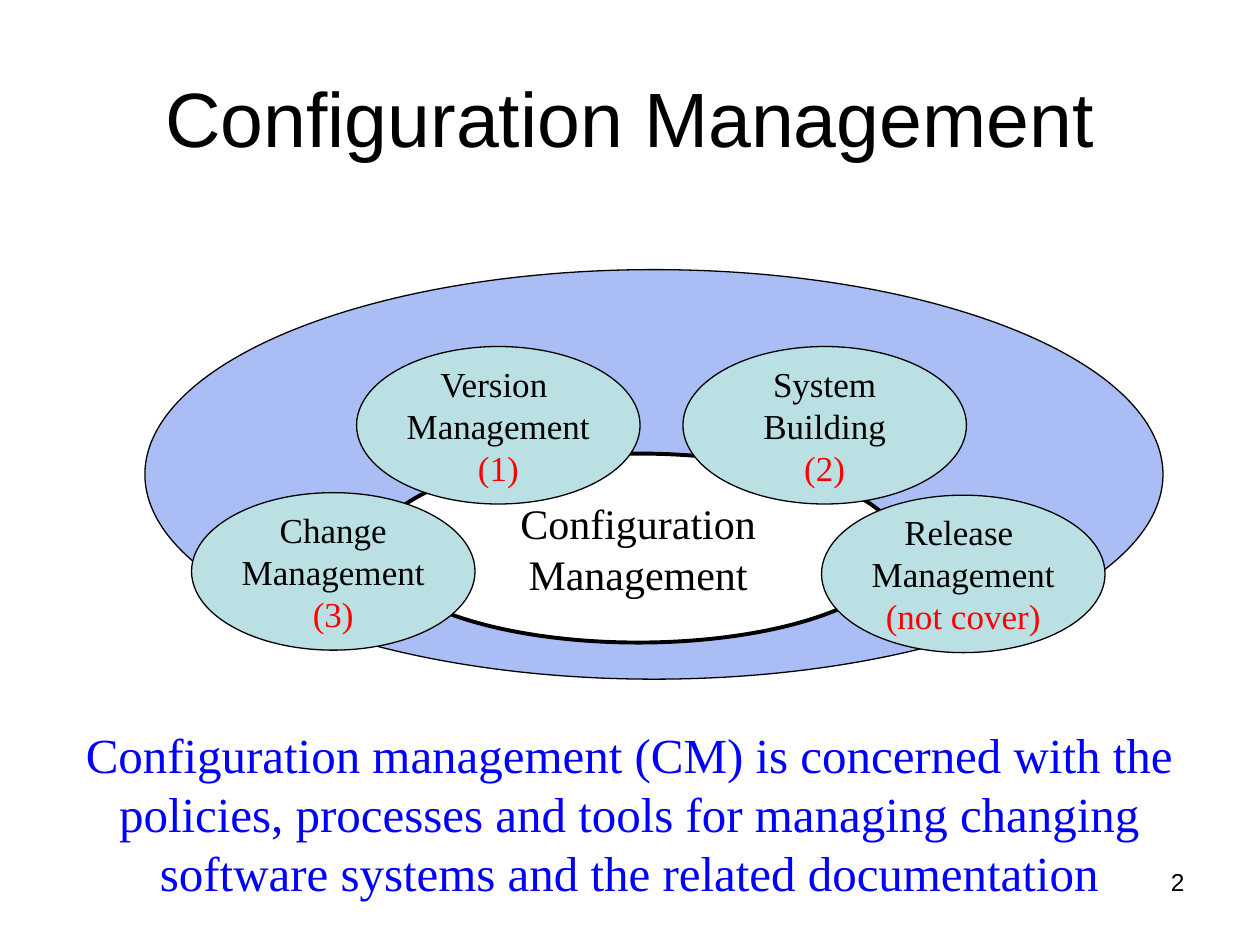
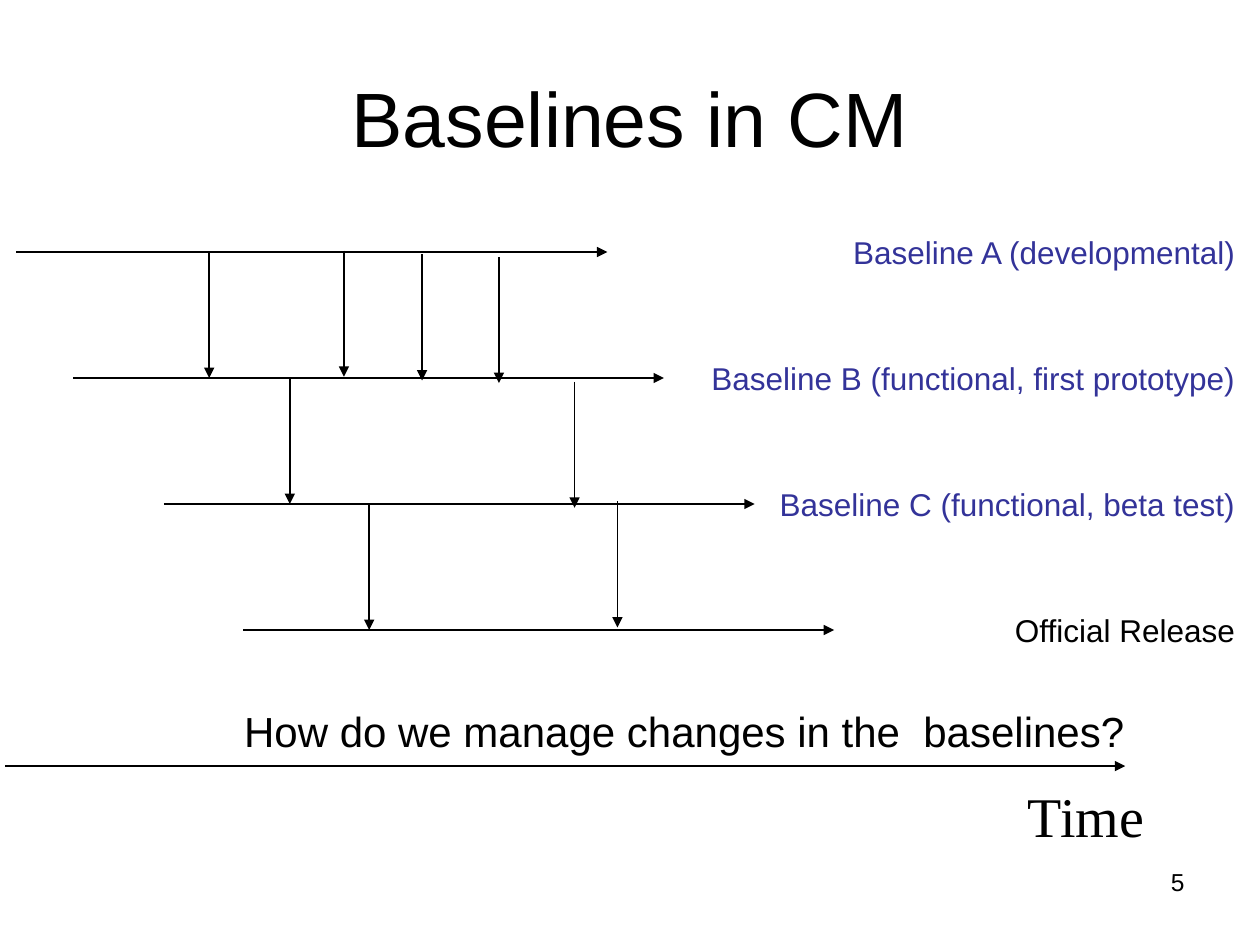
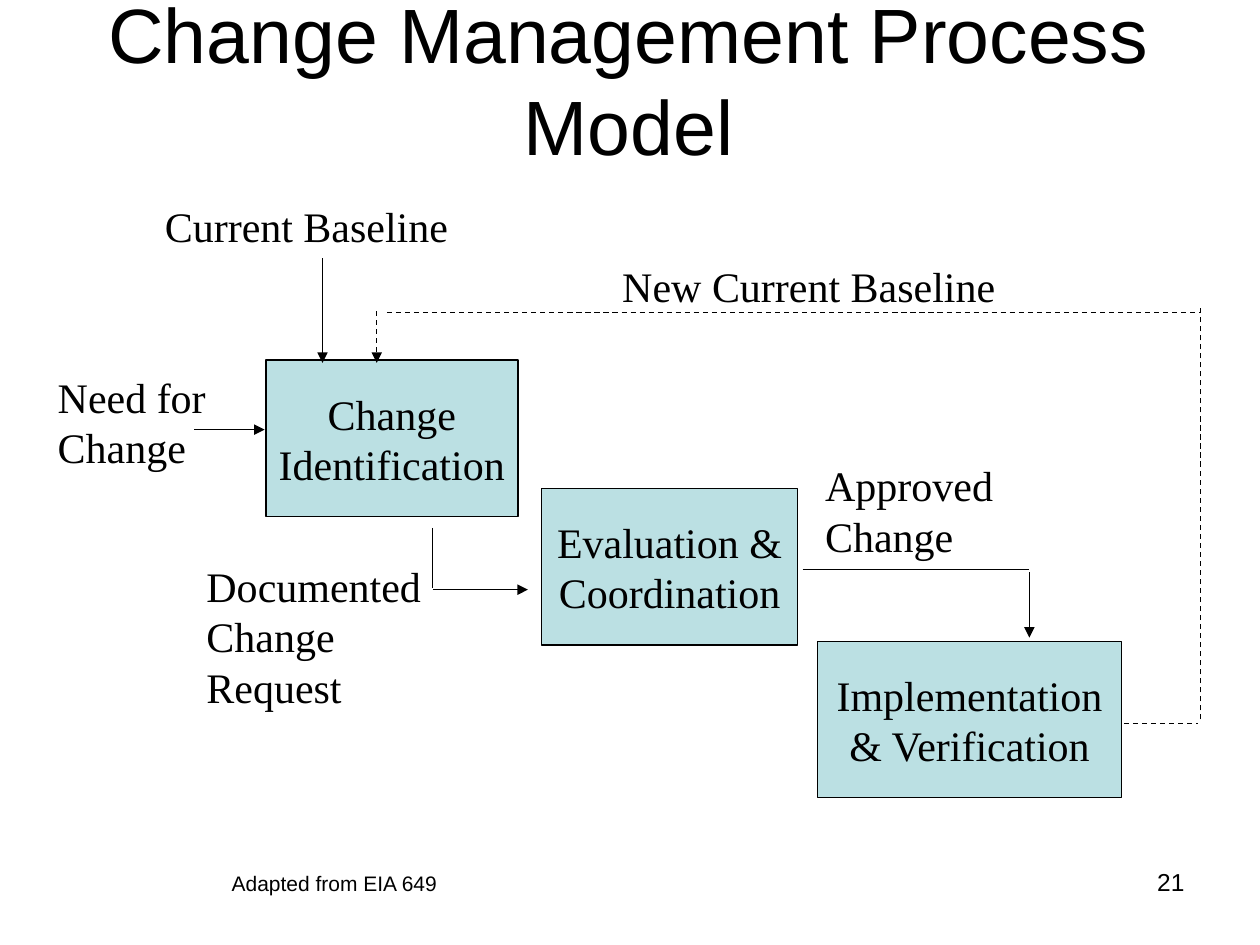
"""Build three slides on configuration management, baselines and the change process."""
from pptx import Presentation
from pptx.dml.color import RGBColor
from pptx.enum.dml import MSO_LINE
from pptx.enum.shapes import MSO_CONNECTOR, MSO_SHAPE
from pptx.enum.text import MSO_ANCHOR, MSO_AUTO_SIZE, PP_ALIGN
from pptx.oxml.ns import qn
from pptx.util import Inches, Pt
from lxml import etree

LEFT, CENTER, RIGHT = PP_ALIGN.LEFT, PP_ALIGN.CENTER, PP_ALIGN.RIGHT
TOP, MIDDLE = MSO_ANCHOR.TOP, MSO_ANCHOR.MIDDLE
OVAL, RECTANGLE = MSO_SHAPE.OVAL, MSO_SHAPE.RECTANGLE
STRAIGHT, DASH = MSO_CONNECTOR.STRAIGHT, MSO_LINE.DASH
NO_AUTOFIT = MSO_AUTO_SIZE.NONE
SANS, SERIF = "Arial", "Times New Roman"
BLACK, WHITE, RED, BLUE, INDIGO = "000000", "FFFFFF", "FF0000", "0000FF", "333399"
PERIWINKLE, TEAL = "AABDF4", "BBE0E3"


def write_text(shape, text, size=24, font=SERIF, colour=BLACK, align=CENTER,
               anchor=MIDDLE, wrap=False):
    """Fill a shape with text, one paragraph per line, in one style."""
    frame = shape.text_frame
    frame.text = text
    frame.auto_size = NO_AUTOFIT
    frame.word_wrap = wrap
    frame.vertical_anchor = anchor
    for paragraph in frame.paragraphs:
        paragraph.alignment = align
        for run in paragraph.runs:
            run.font.size = Pt(size)
            run.font.name = font
            run.font.color.rgb = RGBColor.from_string(colour)


def draw_line(slide, x1, y1, x2, y2, width=0.75, arrow=True, dashed=False):
    """Draw a straight black line, with an arrowhead at its end if wanted."""
    line = slide.shapes.add_connector(
        STRAIGHT, Inches(x1), Inches(y1), Inches(x2), Inches(y2))
    line.line.color.rgb = RGBColor.from_string(BLACK)
    line.line.width = Pt(width)
    if dashed:
        line.line.dash_style = DASH
    if arrow:
        etree.SubElement(line.line._get_or_add_ln(), qn("a:tailEnd"), type="triangle")
    etree.SubElement(line._element.spPr, qn("a:effectLst"))


deck = Presentation()
deck.slide_width, deck.slide_height = Inches(10), Inches(7.5)

slides = []
for heading, number, left, top in [
    ("Configuration Management", "2", 0.5, 0.3),
    ("Baselines in CM", "5", 0.5, 0.3),
    ("Change Management Process Model", "21", 0.49, 0),
]:
    slide = deck.slides.add_slide(deck.slide_layouts[5])
    title = slide.shapes.title
    title.left, title.top = Inches(left), Inches(top)
    title.width, title.height = Inches(9), Inches(1.25)
    write_text(title, heading, 44, SANS, wrap=True)
    page_number = slide.shapes.add_textbox(
        Inches(7.17), Inches(6.83), Inches(2.33), Inches(0.52))
    write_text(page_number, number, 14, SANS, align=RIGHT, anchor=TOP, wrap=True)
    slides.append(slide)
overview, baselines, process = slides

activity_size = (2.25, 1.25)
nodes = [
    (overview, OVAL, "", 1.15, 2.14, 8.08, 3.25, PERIWINKLE, 0.75),
    (overview, OVAL, "Configuration\nManagement", 2.98, 3.6, 4.17, 1.5, WHITE, 2.25),
    (overview, OVAL, "Version \nManagement\n(1)", 2.83, 2.75, *activity_size, TEAL, 0.75),
    (overview, OVAL, "Change\nManagement\n(3)", 1.52, 3.91, *activity_size, TEAL, 0.75),
    (overview, OVAL, "Release \nManagement\n(not cover)", 6.52, 3.93, *activity_size, TEAL, 0.75),
    (overview, OVAL, "System\nBuilding\n(2)", 5.42, 2.75, *activity_size, TEAL, 0.75),
    (process, RECTANGLE, "Change\nIdentification", 2.11, 2.86, 2, 1.24, TEAL, 1),
    (process, RECTANGLE, "Evaluation &\nCoordination", 4.3, 3.88, 2.03, 1.24, TEAL, 0.75),
    (process, RECTANGLE, "Implementation\n& Verification", 6.49, 5.09, 2.41, 1.24, TEAL, 0.75),
]
for slide, outline, label, left, top, width, height, fill, border in nodes:
    node = slide.shapes.add_shape(
        outline, Inches(left), Inches(top), Inches(width), Inches(height))
    node.shadow.inherit = False
    node.fill.solid()
    node.fill.fore_color.rgb = RGBColor.from_string(fill)
    node.line.color.rgb = RGBColor.from_string(BLACK)
    node.line.width = Pt(border)
    has_coverage = label.endswith(")")
    if label:
        write_text(node, label, 20 if has_coverage else 24)
    if has_coverage:
        coverage = node.text_frame.paragraphs[-1].runs[0]
        coverage.font.color.rgb = RGBColor.from_string(RED)

definition = overview.shapes.add_textbox(
    Inches(0.33), Inches(5.7), Inches(9.33), Inches(1.5))
write_text(definition, "Configuration management (CM) is concerned with the policies, "
           "processes and tools for managing changing software systems and the related "
           "documentation", 28, colour=BLUE, anchor=TOP, wrap=True)

for level, (start, label, colour) in enumerate([
    (0.13, "Baseline A (developmental)", INDIGO),
    (0.58, "Baseline B (functional, first prototype)", INDIGO),
    (1.3, "Baseline C (functional, beta test)", INDIGO),
    (1.93, "Official Release", BLACK),
]):
    y = 2 + level
    draw_line(baselines, start, y, start + 4.69, y, 1)
    baseline_name = baselines.shapes.add_textbox(
        Inches(5.4), Inches(y - 0.22), Inches(4.5), Inches(0.44))
    write_text(baseline_name, label, 18, SANS, colour, RIGHT, wrap=True)
for x, y in [(1.66, 2), (2.73, 1.99), (3.35, 2.02), (3.96, 2.04), (2.3, 3),
             (4.56, 3.03), (2.93, 4), (4.9, 3.98)]:
    draw_line(baselines, x, y, x, y + 1, 1)
draw_line(baselines, 0.04, 6.08, 8.93, 6.08, 1)

question = baselines.shapes.add_textbox(
    Inches(1.77), Inches(5.55), Inches(7.32), Inches(0.5))
write_text(question, "How do we manage changes in the  baselines?", 24, SANS, wrap=True)
time_axis_name = baselines.shapes.add_textbox(
    Inches(8.05), Inches(6.15), Inches(1.14), Inches(0.64))
write_text(time_axis_name, "Time", 32)

for x1, y1, x2, y2, arrow, dashed in [
    (1.54, 3.41, 2.1, 3.41, True, False),
    (2.56, 2.05, 2.56, 2.88, True, False),
    (3.43, 4.19, 3.43, 4.67, False, False),
    (3.44, 4.68, 4.19, 4.68, True, False),
    (6.37, 4.52, 8.17, 4.52, False, False),
    (8.17, 4.54, 8.17, 5.06, True, False),
    (8.92, 5.74, 9.51, 5.74, False, True),
    (9.53, 5.71, 9.53, 2.43, False, True),
    (3.07, 2.48, 9.53, 2.48, False, True),
    (2.99, 2.47, 2.99, 2.88, True, True),
]:
    draw_line(process, x1, y1, x2, y2, arrow=arrow, dashed=dashed)

for label, left, top, width, height in [
    ("Need for\nChange", 0.36, 2.9, 1.37, 0.9),
    ("Current Baseline", 1.21, 1.54, 2.45, 0.5),
    ("New Current Baseline", 4.84, 2.02, 3.16, 0.5),
    ("Documented\nChange\nRequest", 1.54, 4.4, 1.9, 1.3),
    ("Approved\nChange", 6.45, 3.6, 1.53, 0.9),
]:
    flow_label = process.shapes.add_textbox(
        Inches(left), Inches(top), Inches(width), Inches(height))
    write_text(flow_label, label, align=LEFT, anchor=TOP)

credit = process.shapes.add_textbox(
    Inches(1.74), Inches(6.86), Inches(2.21), Inches(0.3))
write_text(credit, "Adapted from EIA 649", 12, SANS, align=LEFT, anchor=TOP, wrap=True)

deck.save("out.pptx")
